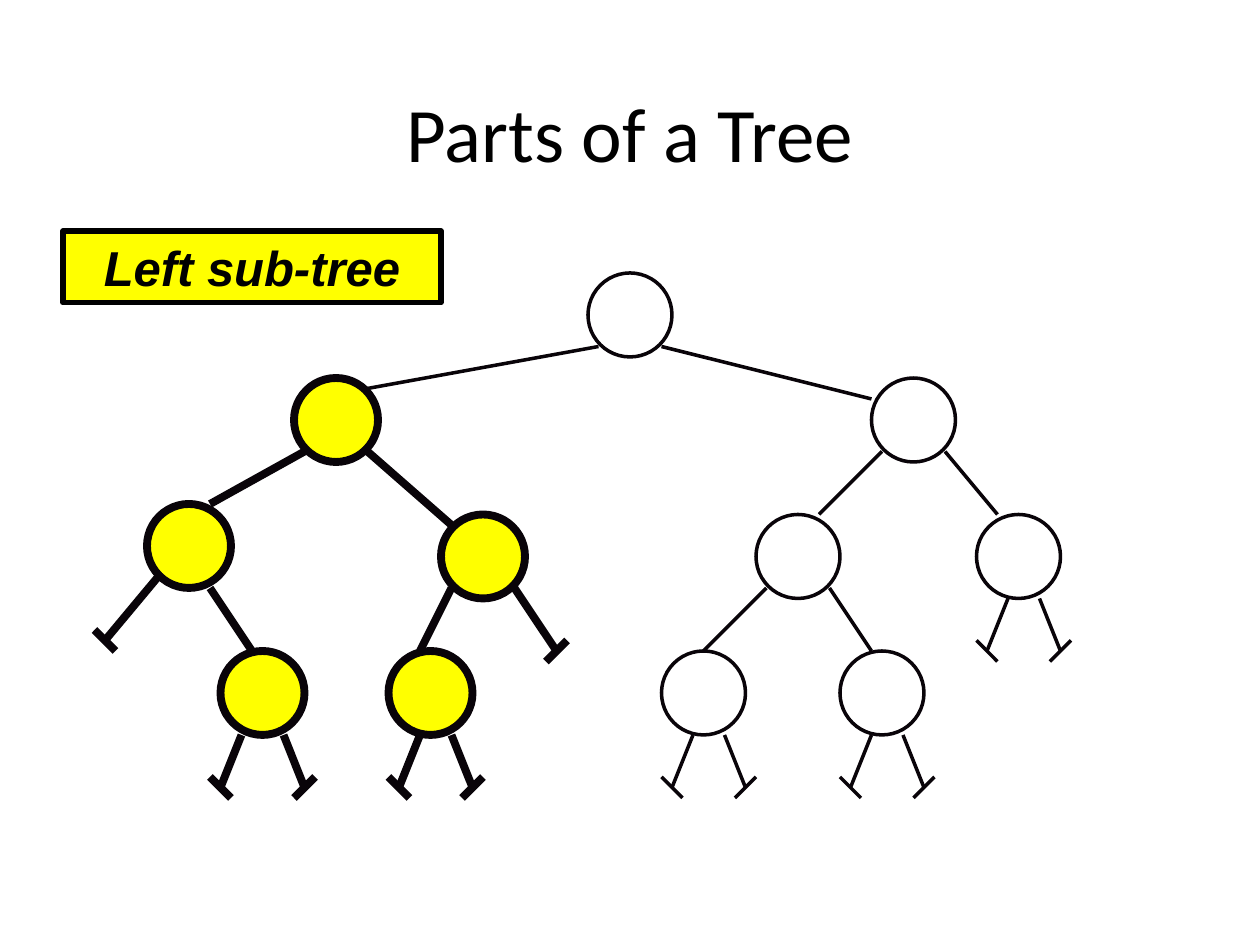
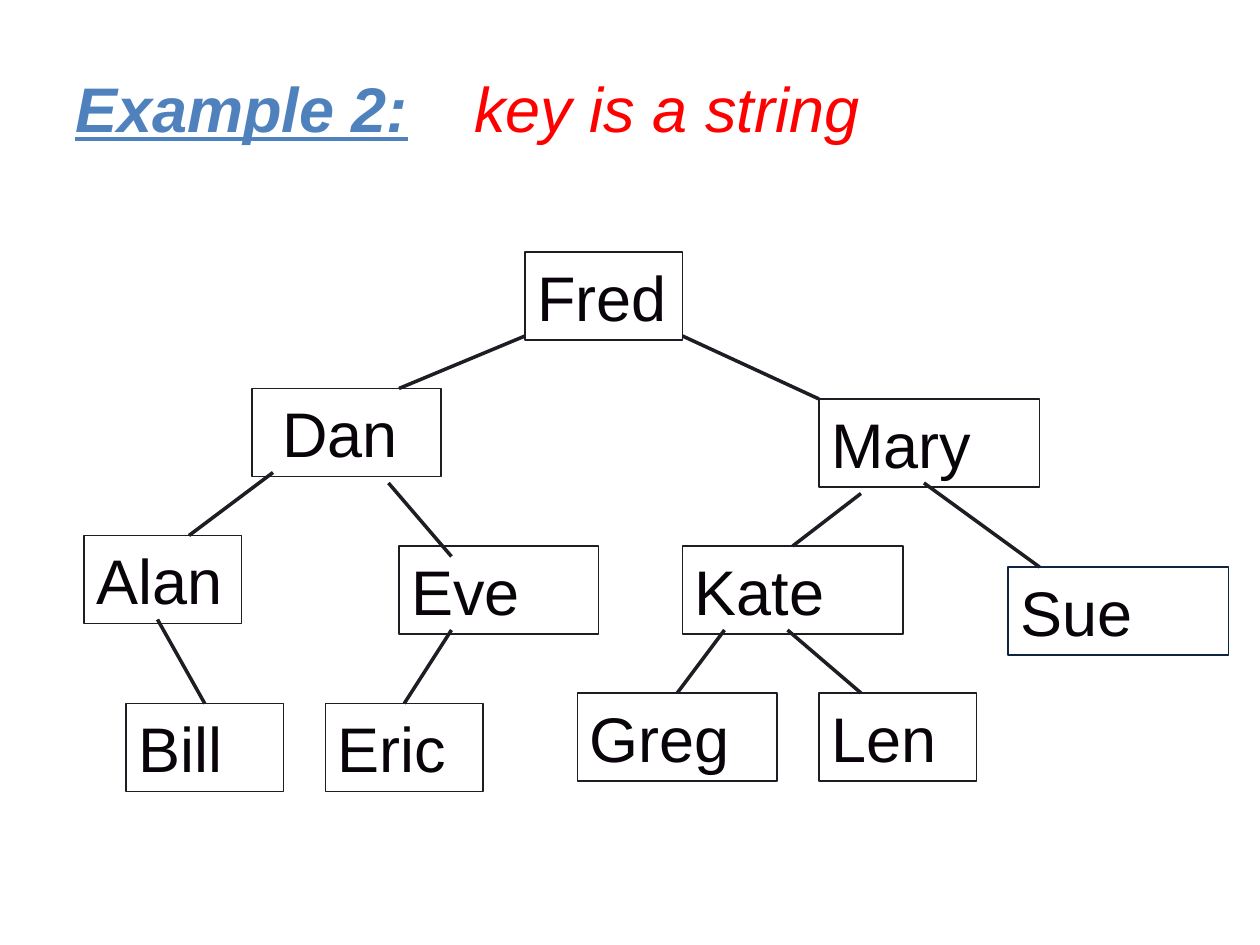
from dataclasses import dataclass
from typing import NamedTuple, Optional

from lxml.etree import SubElement
from pptx import Presentation
from pptx.dml.color import RGBColor
from pptx.enum.shapes import MSO_CONNECTOR as Connector, MSO_SHAPE as Preset
from pptx.enum.text import MSO_ANCHOR as Anchor, MSO_AUTO_SIZE as AutoSize, PP_ALIGN as Align
from pptx.oxml.ns import qn
from pptx.util import Inches, Pt

# Shared grid: 120 columns by 90 rows of square cells
WIDTH, HEIGHT = Inches(10), Inches(7.5)
CELL = WIDTH / 120

COLORS = {
    "black": "000000",
    "ink": "090409",
    "edge": "1E1D24",
    "navy": "0F243E",
    "blue": "4F81BD",
    "red": "FF0000",
    "yellow": "FFFF00",
}
THIN, THICK = 2, 4.5
NODE_SIZE = 8
KEY_HEIGHT = 8.4


class Point(NamedTuple):
    col: float
    row: float


class Area(NamedTuple):
    col: float
    row: float
    cols: float
    rows: float


@dataclass
class TextStyle:
    size: float
    color: str = "black"
    font: str = "Arial"
    bold: bool = False
    italic: bool = False
    underline: bool = False
    align: Align = Align.LEFT
    anchor: Anchor = Anchor.TOP
    grow: bool = True
    indent: float = 0


@dataclass
class Branch:
    start: Point
    end: Point
    child: Optional[str] = None


@dataclass
class TreeNode:
    corner: Point
    left: Branch
    right: Branch
    marked: bool = False


@dataclass
class KeyBox:
    corner: Point
    cols: float
    branches: tuple = ()
    line: str = "edge"
    indent: float = 0


# Drawing helpers
def cells(count: float) -> int:
    return round(count * CELL)


def rgb(name: str) -> RGBColor:
    return RGBColor.from_string(COLORS[name])


def write(shape, text: str, style: TextStyle) -> None:
    frame = shape.text_frame
    frame.word_wrap = True
    frame.vertical_anchor = style.anchor
    frame.margin_left = Inches(0.1 + style.indent)
    para = frame.paragraphs[0]
    para.alignment = style.align
    if style.grow:
        frame.auto_size = AutoSize.SHAPE_TO_FIT_TEXT
        para.space_before = Pt(2)
    span = para.add_run()
    span.text = text
    font = span.font
    font.name, font.size = style.font, Pt(style.size)
    font.bold, font.italic, font.underline = style.bold, style.italic, style.underline
    font.color.rgb = rgb(style.color)


def add_text(page, area: Area, text: str, style: TextStyle) -> None:
    write(page.shapes.add_textbox(*map(cells, area)), text, style)


def add_outline(page, preset: Preset, area: Area, line: str, weight: float,
                fill: Optional[str] = None):
    shape = page.shapes.add_shape(preset, *map(cells, area))
    shape.shadow.inherit = False
    if fill:
        shape.fill.solid()
        shape.fill.fore_color.rgb = rgb(fill)
    else:
        shape.fill.background()
    shape.line.color.rgb = rgb(line)
    shape.line.width = Pt(weight)
    return shape


def add_line(page, start: Point, end: Point, color: str, weight: float):
    line = page.shapes.add_connector(Connector.STRAIGHT, *map(cells, (*start, *end)))
    line.line.color.rgb = rgb(color)
    line.line.width = Pt(weight)
    SubElement(line._element.spPr, qn("a:effectLst"))
    return line


# Slide 1: a tree whose childless branches end in a slanted bar
def branch(x1: float, y1: float, x2: float, y2: float,
           child: Optional[str] = None) -> Branch:
    return Branch(Point(x1, y1), Point(x2, y2), child)


def leaf(col: float, row: float, left: float, right: float,
         marked: bool = False) -> TreeNode:
    """Node with two bare branches that start at the given columns."""
    top, bottom = row + NODE_SIZE, row + NODE_SIZE + 5
    return TreeNode(Point(col, row), branch(left, top, left - 2, bottom),
                    branch(right, top, right + 2, bottom), marked)


TREE = [
    TreeNode(Point(56, 26), branch(57, 33, 35, 37, "L"), branch(63, 33, 83, 38, "R")),
    TreeNode(Point(28, 36), branch(29, 43, 20, 48, "LL"), branch(35, 43, 43, 50, "LR"), True),
    TreeNode(Point(83, 36), branch(84, 43, 78, 49, "RL"), branch(90, 43, 95, 49, "RR")),
    TreeNode(Point(14, 48), branch(15, 55, 10, 61), branch(20, 56, 24, 62, "LLR"), True),
    TreeNode(Point(42, 49), branch(43, 56, 40, 62, "LRL"), branch(49, 56, 53, 62), True),
    TreeNode(Point(72, 49), branch(73, 56, 67, 62, "RLL"), branch(79, 56, 83, 62, "RLR")),
    leaf(21, 62, 23, 27, True),
    leaf(37, 62, 40, 43, True),
    leaf(63, 62, 66, 69),
    leaf(80, 62, 83, 86),
    leaf(93, 49, 96, 99),
]


def draw_tree_node(page, node: TreeNode) -> None:
    weight = THICK if node.marked else THIN
    add_outline(page, Preset.OVAL, Area(*node.corner, NODE_SIZE, NODE_SIZE), "ink",
                weight, "yellow" if node.marked else None)
    for side, slant in ((node.left, 1), (node.right, -1)):
        add_line(page, side.start, side.end, "ink", weight)
        if side.child is None:
            col, row = side.end
            add_line(page, Point(col - 1, row - slant), Point(col + 1, row + slant),
                     "ink", weight)


def build_tree_parts(deck) -> None:
    page = deck.slides.add_slide(deck.slide_layouts[6])
    add_text(page, Area(9, 5, 102, 15), "Parts of a Tree",
             TextStyle(44, font="Calibri", align=Align.CENTER, anchor=Anchor.MIDDLE,
                       grow=False))
    for node in TREE:
        draw_tree_node(page, node)
    label = add_outline(page, Preset.RECTANGLE, Area(6, 22, 36, 6.84), "black", 3, "yellow")
    write(label, "Left sub-tree",
          TextStyle(28, bold=True, italic=True, align=Align.CENTER))


# Slide 2: a tree with names as keys
KEYS = {
    "Fred": KeyBox(Point(50, 24), 15, (branch(50, 32, 38, 37, "Dan"),
                                       branch(65, 32, 78, 38, "Mary"))),
    "Dan": KeyBox(Point(24, 37), 18, (branch(26, 45, 18, 51, "Alan"),
                                      branch(37, 46, 43, 53, "Eve")), indent=0.14),
    "Mary": KeyBox(Point(78, 38), 21, (branch(82, 47, 76, 52, "Kate"),
                                       branch(88, 46, 99, 54, "Sue"))),
    "Alan": KeyBox(Point(8, 51), 15, (branch(15, 59, 19, 67, "Bill"),)),
    "Eve": KeyBox(Point(38, 52), 19, (branch(43, 60, 39, 67, "Eric"),)),
    "Kate": KeyBox(Point(65, 52), 21, (branch(69, 60, 64, 66, "Greg"),
                                       branch(75, 60, 82, 66, "Len"))),
    "Sue": KeyBox(Point(96, 54), 21, line="navy"),
    "Bill": KeyBox(Point(12, 67), 15),
    "Eric": KeyBox(Point(31, 67), 15),
    "Greg": KeyBox(Point(55, 66), 19),
    "Len": KeyBox(Point(78, 66), 15),
}


def build_string_keys(deck) -> None:
    page = deck.slides.add_slide(deck.slide_layouts[6])
    add_text(page, Area(6, 6, 52, KEY_HEIGHT), "Example 2:",
             TextStyle(36, "blue", bold=True, italic=True, underline=True))
    add_text(page, Area(44, 6, 44, KEY_HEIGHT), "key is a string",
             TextStyle(36, "red", italic=True))

    boxes = {}
    for name, key in KEYS.items():
        area = Area(*key.corner, key.cols, KEY_HEIGHT)
        boxes[name] = add_outline(page, Preset.RECTANGLE, area, key.line, 0.75)
        write(boxes[name], name, TextStyle(36, "ink", indent=key.indent))

    # Join the branches that reach the middle of a child's top side
    for key in KEYS.values():
        for link in key.branches:
            line = add_line(page, link.start, link.end, "edge", THIN)
            child = KEYS[link.child]
            middle = child.corner.col + child.cols / 2
            if link.end.row == child.corner.row and abs(link.end.col - middle) <= 0.5:
                line.end_connect(boxes[link.child], 0)


def main() -> None:
    deck = Presentation()
    deck.slide_width, deck.slide_height = WIDTH, HEIGHT
    build_tree_parts(deck)
    build_string_keys(deck)
    deck.save("out.pptx")


if __name__ == "__main__":
    main()
